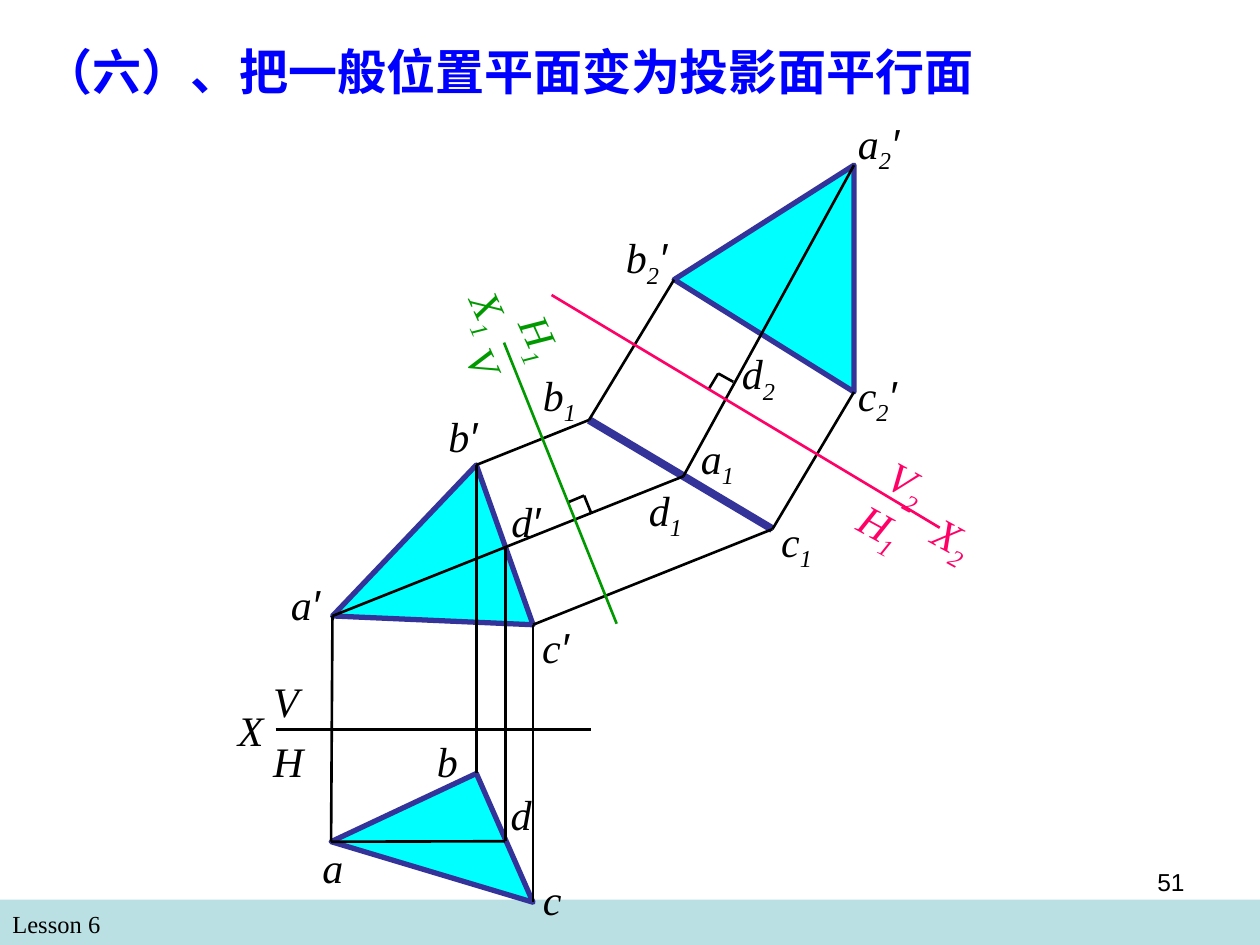
from pptx import Presentation
from pptx import util as u
from pptx.dml.color import RGBColor
from pptx.enum import shapes, text
from pptx.oxml.ns import qn
from lxml import etree

THEME = {
    "black": "000000", "green": "009900", "pink": "FF0066", "title": "0000FF",
    "band": "BBE0E3", "face": "00FFFF", "edge": "333399",
    "serif": "Times New Roman", "sans": "Arial",
    "title_size": 28, "label_size": 24, "footer_size": 14,
    "thin": 1.5, "outline": 3, "thick": 4.5,
}

POINTS = {
    "a'": (190, 352), "b'": (272.2, 265.7), "c'": (304.6, 357), "d'": (288.7, 313.4),
    "a": (189.2, 481), "b": (272.2, 442), "c": (304.6, 515.6), "d": (288.7, 480.7),
    "b1": (336.6, 240), "a1": (390.5, 272.2), "c1": (441.4, 302.4),
    "a2'": (488, 94.4), "b2'": (385.2, 159.8), "c2'": (488, 224),
}
TRIANGLES = [("a'", "c'", "b'"), ("a", "b", "c"), ("a2'", "b2'", "c2'")]
EDGES = [
    ("a'", "a"), ("b'", "b"), ("c'", "c"), ("d'", "d"), ("a", "d"), ("a'", "a1"),
    ("b'", "b1"), ("c'", "c1"), ("b1", "b2'"), ("a1", "a2'"), ("c1", "c2'"),
]
AXES = [
    ((157.5, 417), (337.5, 417), "black"),
    ((288, 195.8), (352.4, 356.4), "green"),
    ((315.2, 168.6), (537, 301.6), "pink"),
]
RIGHT_ANGLES = [
    [(324.7, 287), (333.8, 283.2), (338, 293.6)],
    [(405, 222.4), (410.4, 213.4), (419, 218.2)],
]
# text, subscript, prime, left, top, width
LABELS = {
    ("black", 0): [
        ("a", "", "′", 159.1, 326.9, 71), ("b", "", "′", 249.1, 231.1, 71),
        ("c", "", "′", 302.8, 351.4, 44), ("d", "", "′", 285.2, 279.4, 44),
        ("a", "", "", 177.1, 477.4, 36), ("b", "", "", 242.6, 416.9, 71),
        ("c", "", "", 303.1, 495.4, 44), ("d", "", "", 284.8, 447.1, 44),
        ("X", "", "", 128.9, 398.9, 64), ("V", "", "", 149, 382.3, 41),
        ("H", "", "", 149, 416.9, 41),
        ("a", "2", "′", 483.1, 63.4, 71), ("b", "2", "′", 350.6, 128.9, 71),
        ("c", "2", "′", 483.1, 207.4, 66), ("d", "2", "", 416.9, 195.1, 54),
    ],
    ("black", -0.4): [
        ("a", "1", "", 393.4, 243.4, 54), ("b", "1", "", 303.1, 207.4, 71),
        ("c", "1", "", 439.2, 290.9, 44), ("d", "1", "", 363.6, 272.9, 60),
    ],
    ("green", 65.6): [
        ("X", "1", "", 252.7, 171.4, 64), ("H", "1", "", 280.8, 185, 64),
        ("V", "", "", 259.2, 194.4, 40.3),
    ],
    ("pink", 28.8): [
        ("X", "2", "", 524.2, 295.2, 64), ("V", "2", "", 498.2, 263.5, 64),
        ("H", "1", "", 482.4, 285.1, 53.3),
    ],
}
TITLE = "（六）、把一般位置平面变为投影面平行面"


def color(name):
    return RGBColor.from_string(THEME[name])


def pts(*values):
    return [u.Pt(v) for v in values]


def add_line(s, start, end, name="black", width="thin"):
    line = s.shapes.add_connector(shapes.MSO_CONNECTOR.STRAIGHT, *pts(*start, *end))
    line.line.color.rgb = color(name)
    line.line.width = u.Pt(THEME[width])
    etree.SubElement(line._element.spPr, qn("a:effectLst"))


def add_triangle(s, names):
    first, *rest = [pts(*POINTS[n]) for n in names]
    builder = s.shapes.build_freeform(*first)
    builder.add_line_segments(rest, close=True)
    sp = builder.convert_to_shape()
    sp.shadow.inherit = False
    sp.fill.solid()
    sp.fill.fore_color.rgb = color("face")
    sp.line.color.rgb = color("edge")
    sp.line.width = u.Pt(THEME["outline"])


def add_text(s, box, runs, size, name="black", align=text.PP_ALIGN.LEFT):
    sp = s.shapes.add_textbox(*pts(*box))
    tf = sp.text_frame
    tf.word_wrap = True
    p = tf.paragraphs[0]
    p.alignment = align
    for content, font in runs:
        r = p.add_run()
        r.text = content
        r.font.name = THEME[font]
        r.font.size = u.Pt(THEME[size])
        r.font.color.rgb = color(name)
    return sp, p.runs


def add_label(s, label, name, angle):
    base, sub, prime, left, top, width = label
    parts = [(base, "serif"), (sub, "serif"), (prime, "sans")]
    box = (left, top, width, 40.3 if sub else 36)
    sp, runs = add_text(s, box, [part for part in parts if part[0]], "label_size", name)
    sp.rotation = angle
    for r in runs:
        r.font.italic = True
    if sub:
        runs[1].font._element.set("baseline", "-25000")


def main():
    """Build the slide on turning a general plane into a parallel plane."""
    prs = Presentation()
    prs.slide_width, prs.slide_height = pts(720, 540)
    s = prs.slides.add_slide(prs.slide_layouts[6])

    band = s.shapes.add_shape(shapes.MSO_SHAPE.RECTANGLE, *pts(0, 514, 720, 26))
    band.shadow.inherit = False
    band.fill.solid()
    band.fill.fore_color.rgb = color("band")
    band.line.fill.background()
    add_text(s, (0, 516.2, 348, 24.5), [("Lesson 6", "serif")], "footer_size")

    for names in TRIANGLES:
        add_triangle(s, names)
    add_line(s, POINTS["b1"], POINTS["c1"], "edge", "thick")
    for start, end in EDGES:
        add_line(s, POINTS[start], POINTS[end])
    for start, corner, end in RIGHT_ANGLES:
        add_line(s, start, corner)
        add_line(s, corner, end)
    for start, end, name in AXES:
        add_line(s, start, end, name)
    for (name, angle), labels in LABELS.items():
        for label in labels:
            add_label(s, label, name, angle)

    _, runs = add_text(s, (18, 20.2, 572, 41), [(TITLE, "sans")], "title_size", "title")
    runs[0].font.bold = True
    add_text(s, (516, 492, 168, 37.5), [("51", "sans")], "footer_size",
             align=text.PP_ALIGN.RIGHT)
    prs.save("out.pptx")


if __name__ == "__main__":
    main()
